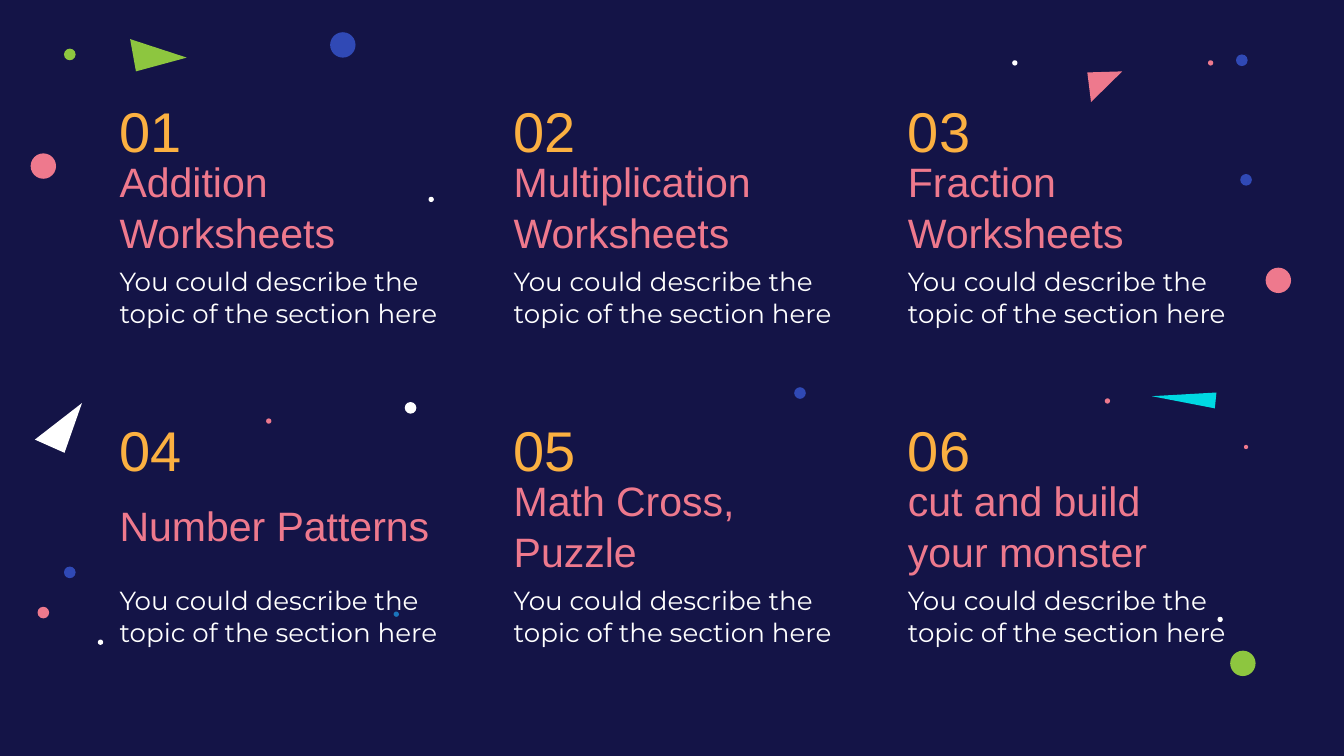
from collections import namedtuple

from pptx import Presentation
from pptx.dml.color import RGBColor
from pptx.enum.shapes import MSO_SHAPE
from pptx.enum.text import MSO_ANCHOR, MSO_AUTO_SIZE
from pptx.util import Cm, Pt

OVAL = MSO_SHAPE.OVAL
TOP, MIDDLE, BOTTOM = MSO_ANCHOR.TOP, MSO_ANCHOR.MIDDLE, MSO_ANCHOR.BOTTOM
NO_FIT = MSO_AUTO_SIZE.NONE

NAVY, PINK, AMBER, WHITE = "141447", "EE798D", "FBB041", "FFFFFF"
GREEN, BLUE, SKY, CYAN = "8DC63F", "3049B5", "1B75BC", "00D9E2"

Box = namedtuple("Box", "left top width height")

TOPICS = [
    "Addition Worksheets", "Multiplication Worksheets", "Fraction Worksheets",
    "Number Patterns", "Math Cross, Puzzle", "cut and build your monster",
]
DESCRIPTION = "You could describe the topic of the section here"

DOTS = {
    0.08: [(23.55, 8.45, PINK)],
    0.1: [
        (7.49, 11.61, SKY), (22.88, 1.19, PINK), (5.08, 7.96, PINK),
        (20.93, 7.58, PINK), (23.06, 11.71, WHITE), (8.15, 3.77, WHITE),
        (1.9, 12.14, WHITE), (19.18, 1.19, WHITE),
    ],
    0.22: [
        (23.55, 3.4, BLUE), (23.47, 1.14, BLUE), (0.82, 11.58, PINK),
        (7.76, 7.71, WHITE), (1.32, 1.03, GREEN), (1.32, 10.82, BLUE),
        (15.12, 7.43, BLUE),
    ],
    0.48: [
        (24.16, 5.3, PINK), (23.49, 12.54, GREEN), (6.48, 0.85, BLUE),
        (0.82, 3.14, PINK),
    ],
}
TRIANGLES = [
    (GREEN, [(2.46, 0.74), (2.57, 1.35), (3.53, 1.09)]),
    (CYAN, [(22.99, 7.42), (21.77, 7.49), (22.96, 7.72)]),
    (PINK, [(21.21, 1.35), (20.55, 1.37), (20.62, 1.93)]),
    (WHITE, [(0.66, 8.31), (1.22, 8.56), (1.55, 7.62)]),
]


def color(value):
    return RGBColor.from_string(value)


def paint(shape, value):
    shape.shadow.inherit = False
    shape.fill.solid()
    shape.fill.fore_color.rgb = color(value)
    shape.line.fill.background()


def add_dots(page, box):
    for size, dots in DOTS.items():
        for x, y, value in dots:
            dot = page.shapes.add_shape(
                OVAL, Cm(box.left + x - size / 2), Cm(box.top + y - size / 2),
                Cm(size), Cm(size))
            paint(dot, value)


def add_triangles(page, box):
    for value, corners in TRIANGLES:
        points = [(Cm(box.left + x), Cm(box.top + y)) for x, y in corners]
        builder = page.shapes.build_freeform(*points[0])
        builder.add_line_segments(points[1:], close=True)
        paint(builder.convert_to_shape(), value)


def add_text(page, box, text, size, font, value, anchor, spacing=1.0):
    frame = page.shapes.add_textbox(*(Cm(length) for length in box)).text_frame
    frame.word_wrap = True
    frame.auto_size = NO_FIT
    frame.vertical_anchor = anchor
    frame.margin_left = frame.margin_right = Cm(0.25)
    frame.margin_top = frame.margin_bottom = Cm(0.25)
    para = frame.paragraphs[0]
    para.line_spacing = spacing
    span = para.add_run()
    span.text = text
    span.font.size = Pt(size)
    span.font.name = font
    span.font.color.rgb = color(value)


def add_topic(page, box, number, topic):
    add_text(page, Box(box.left, box.top + 1.45, 6.5, 1.47),
             topic, 22, "Arial", PINK, MIDDLE, 1.04)
    add_text(page, Box(box.left, box.top, 3.53, 1.65),
             f"{number:02}", 30, "Arial", AMBER, BOTTOM)
    add_text(page, Box(box.left, box.top + 3.07, box.width, 1.35),
             DESCRIPTION, 14, "Montserrat", WHITE, TOP)


def add_topics(page, box, columns=3):
    for index, topic in enumerate(TOPICS):
        row, column = divmod(index, columns)
        cell = Box(box.left + 7.45 * column, box.top + 6.03 * row, 6.76, 4.42)
        add_topic(page, cell, index + 1, topic)


def main():
    deck = Presentation()
    deck.slide_width, deck.slide_height = Cm(25.4), Cm(14.29)
    page = deck.slides.add_slide(deck.slide_layouts[6])
    page.background.fill.solid()
    page.background.fill.fore_color.rgb = color(NAVY)
    whole = Box(0, 0, 25.4, 14.29)
    add_dots(page, whole)
    add_topics(page, Box(2.01, 1.7, 21.66, 10.45))
    add_triangles(page, whole)
    deck.save("out.pptx")


if __name__ == "__main__":
    main()
